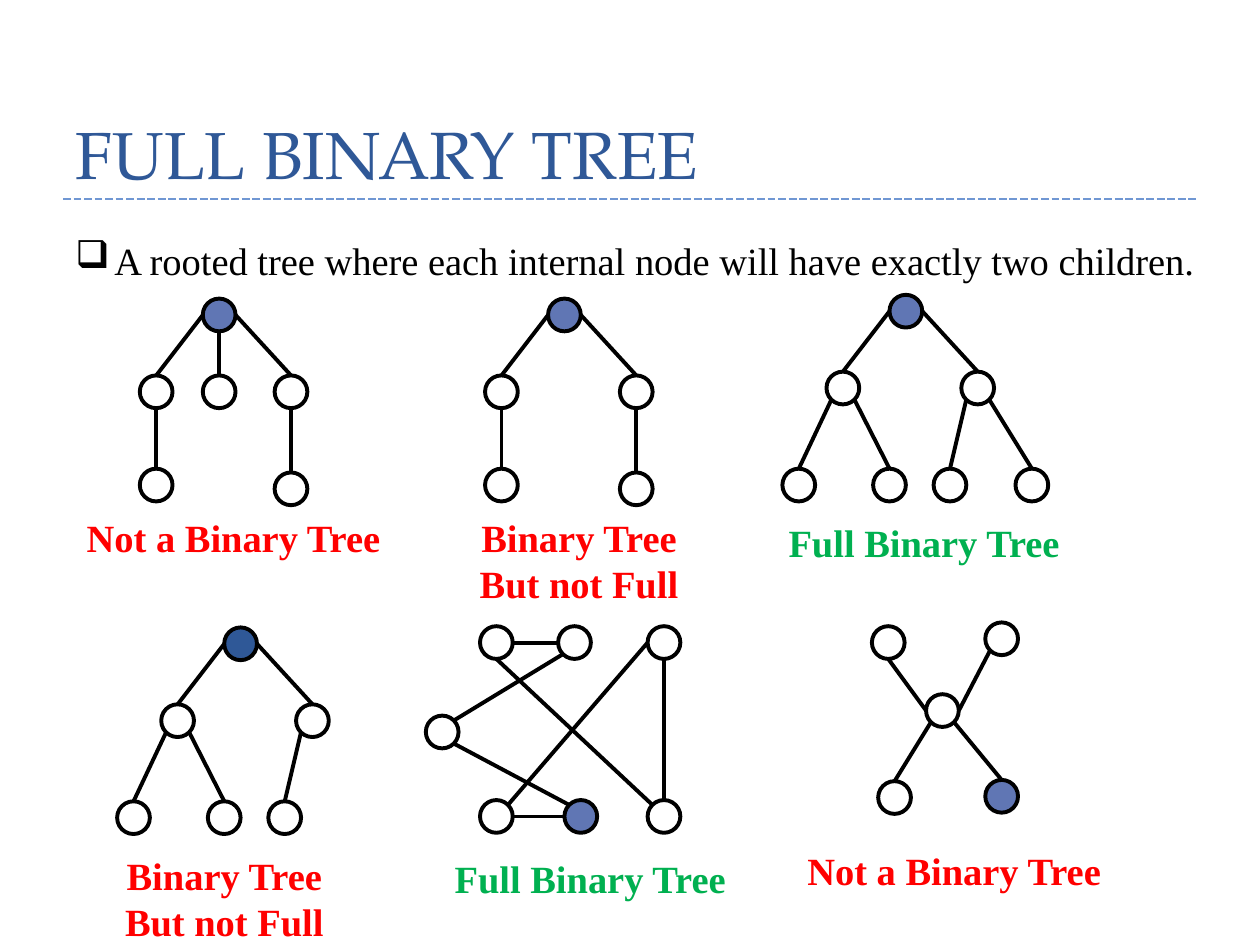
from lxml.etree import SubElement
from pptx import Presentation
from pptx.dml.color import RGBColor
from pptx.enum.dml import MSO_LINE
from pptx.enum.shapes import MSO_CONNECTOR, MSO_SHAPE
from pptx.enum.text import MSO_ANCHOR, MSO_AUTO_SIZE, PP_ALIGN
from pptx.oxml.ns import qn
from pptx.util import Inches, Pt

TITLE = "FULL BINARY TREE"
DEFINITION = "A rooted tree where each internal node will have exactly two children."
BODY_FONT = "Times New Roman"
BLACK, BLUE, DARK_BLUE, RED, GREEN = "000000", "6076B4", "2F5897", "FF0000", "00B050"
DIAMETER = 0.26

# Where an edge may touch a node, as fractions of the node's box
SITES = {
    "T": (0.5, 0), "L": (0, 0.5), "B": (0.5, 1), "R": (1, 0.5),
    "TL": (0.15, 0.15), "TR": (0.85, 0.15), "BL": (0.15, 0.85), "BR": (0.85, 0.85),
}

# Node offsets from the origin of each graph; an edge reads "node site node site"
BRANCHES = {"root": (0, 0), "left": (-0.5, 0.61), "right": (0.57, 0.61)}
BRANCH_EDGES = ["root L left T", "root R right T"]
CHAINS = BRANCHES | {"left_end": (-0.5, 1.35), "right_end": (0.57, 1.38)}
CHAIN_EDGES = BRANCH_EDGES + ["left B left_end T", "right B right_end T"]
THREE_LEAVES = BRANCHES | {"leaf1": (-0.85, 1.38), "leaf2": (-0.13, 1.38), "leaf3": (0.35, 1.38)}
THREE_LEAF_EDGES = BRANCH_EDGES + ["left BL leaf1 T", "left BR leaf2 T", "right BL leaf3 T"]

# origin, nodes, edges, filled node, fill
GRAPHS = [
    ((1.61, 2.37), CHAINS | {"middle": (0, 0.61)}, CHAIN_EDGES + ["root B middle T"], "root", BLUE),
    ((4.35, 2.37), CHAINS, CHAIN_EDGES, "root", BLUE),
    ((7.06, 2.34), THREE_LEAVES | {"leaf4": (1, 1.38)},
     THREE_LEAF_EDGES + ["right BR leaf4 T"], "root", BLUE),
    ((1.78, 4.98), THREE_LEAVES, THREE_LEAF_EDGES, "root", DARK_BLUE),
    ((7.35, 5.51),
     {"centre": (0, 0), "top1": (-0.43, -0.54), "top2": (0.47, -0.57),
      "low1": (-0.38, 0.69), "low2": (0.47, 0.68)},
     ["centre L top1 B", "centre R top2 BL", "centre BL low1 T", "centre BR low2 T"],
     "low2", BLUE),
    ((3.81, 4.97),
     {"top1": (0, 0), "top2": (0.62, 0), "top3": (1.33, 0), "side": (-0.43, 0.71),
      "low1": (0, 1.38), "low2": (0.67, 1.38), "low3": (1.33, 1.38)},
     ["top1 B low3 TL", "top3 L low1 TR", "top3 B low3 T", "side BR low2 TL",
      "side TR top2 BL", "low2 L low1 R", "top2 L top1 R"],
     "low2", BLUE),
]

# text, box, colour, wraps and is centred
CAPTIONS = [
    ("Not a Binary Tree", (0.59, 4.03, 2.56, 0.47), RED, False),
    ("Binary Tree But not Full", (3.6, 4.03, 1.99, 0.84), RED, True),
    ("Full Binary Tree", (6.16, 4.07, 2.38, 0.47), GREEN, False),
    ("Binary Tree But not Full", (0.89, 6.71, 1.78, 0.84), RED, True),
    ("Full Binary Tree", (3.51, 6.74, 2.38, 0.47), GREEN, False),
    ("Not a Binary Tree", (6.31, 6.67, 2.56, 0.47), RED, False),
]


def color(hex_string):
    return RGBColor.from_string(hex_string)


def add_run(paragraph, text, font_name, size, hex_color, bold=False):
    run = paragraph.add_run()
    run.text = text
    run.font.name, run.font.size, run.font.bold = font_name, Pt(size), bold
    run.font.color.rgb = color(hex_color)


def add_text_box(slide, box, wrap):
    frame = slide.shapes.add_textbox(*map(Inches, box)).text_frame
    frame.word_wrap = wrap
    frame.auto_size = MSO_AUTO_SIZE.SHAPE_TO_FIT_TEXT
    return frame.paragraphs[0]


def add_line(shapes, start, end, hex_color=BLACK, width=2.25):
    line = shapes.add_connector(MSO_CONNECTOR.STRAIGHT, *map(Inches, (*start, *end)))
    line.line.color.rgb = color(hex_color)
    line.line.width = Pt(width)
    SubElement(line._element.spPr, qn("a:effectLst"))
    return line


def add_node(shapes, corner, fill):
    node = shapes.add_shape(MSO_SHAPE.OVAL, *map(Inches, (*corner, DIAMETER, DIAMETER)))
    node.shadow.inherit = False
    if fill:
        node.fill.solid()
        node.fill.fore_color.rgb = color(fill)
    else:
        node.fill.background()
    node.line.color.rgb = color(BLACK)
    node.line.width = Pt(2.25)


def add_graph(slide, origin, offsets, edges, filled_node, fill):
    shapes = slide.shapes.add_group_shape().shapes
    corners = {name: (origin[0] + x, origin[1] + y) for name, (x, y) in offsets.items()}
    for name, corner in corners.items():
        add_node(shapes, corner, fill if name == filled_node else None)

    def touch_point(name, site):
        return [c + DIAMETER * part for c, part in zip(corners[name], SITES[site])]

    for edge in edges:
        first, first_site, second, second_site = edge.split()
        add_line(shapes, touch_point(first, first_site), touch_point(second, second_site))


def add_title(slide):
    title = slide.shapes.title
    title.left, title.top, title.width, title.height = map(Inches, (0.5, -0.17, 9, 1.75))
    frame = title.text_frame
    frame.word_wrap = True
    frame.auto_size = MSO_AUTO_SIZE.NONE
    frame.vertical_anchor = MSO_ANCHOR.BOTTOM
    paragraph = frame.paragraphs[0]
    paragraph.alignment = PP_ALIGN.LEFT
    paragraph.line_spacing = Pt(58)
    add_run(paragraph, TITLE, "TeX Gyre Pagella", 38, DARK_BLUE)
    rule = add_line(slide.shapes, (0.5, 1.58), (9.5, 1.58), "7097D3", 1.5)
    rule.line.dash_style = MSO_LINE.SQUARE_DOT


def add_definition(slide):
    paragraph = add_text_box(slide, (0.5, 1.83, 9.25, 0.47), True)
    paragraph.alignment = PP_ALIGN.JUSTIFY
    properties = paragraph._p.get_or_add_pPr()
    properties.set("marL", str(Inches(0.31)))
    properties.set("indent", str(-Inches(0.31)))
    SubElement(properties, qn("a:buChar")).set("char", "❑")
    add_run(paragraph, DEFINITION, BODY_FONT, 22, BLACK)


def main():
    presentation = Presentation()
    presentation.slide_width, presentation.slide_height = Inches(10), Inches(7.5)
    slide = presentation.slides.add_slide(presentation.slide_layouts[5])
    add_title(slide)
    add_definition(slide)
    for graph in GRAPHS:
        add_graph(slide, *graph)
    for text, box, hex_color, wraps in CAPTIONS:
        paragraph = add_text_box(slide, box, wraps)
        paragraph.alignment = PP_ALIGN.CENTER if wraps else PP_ALIGN.LEFT
        add_run(paragraph, text, BODY_FONT, 22, hex_color, bold=True)
    presentation.save("out.pptx")


if __name__ == "__main__":
    main()
